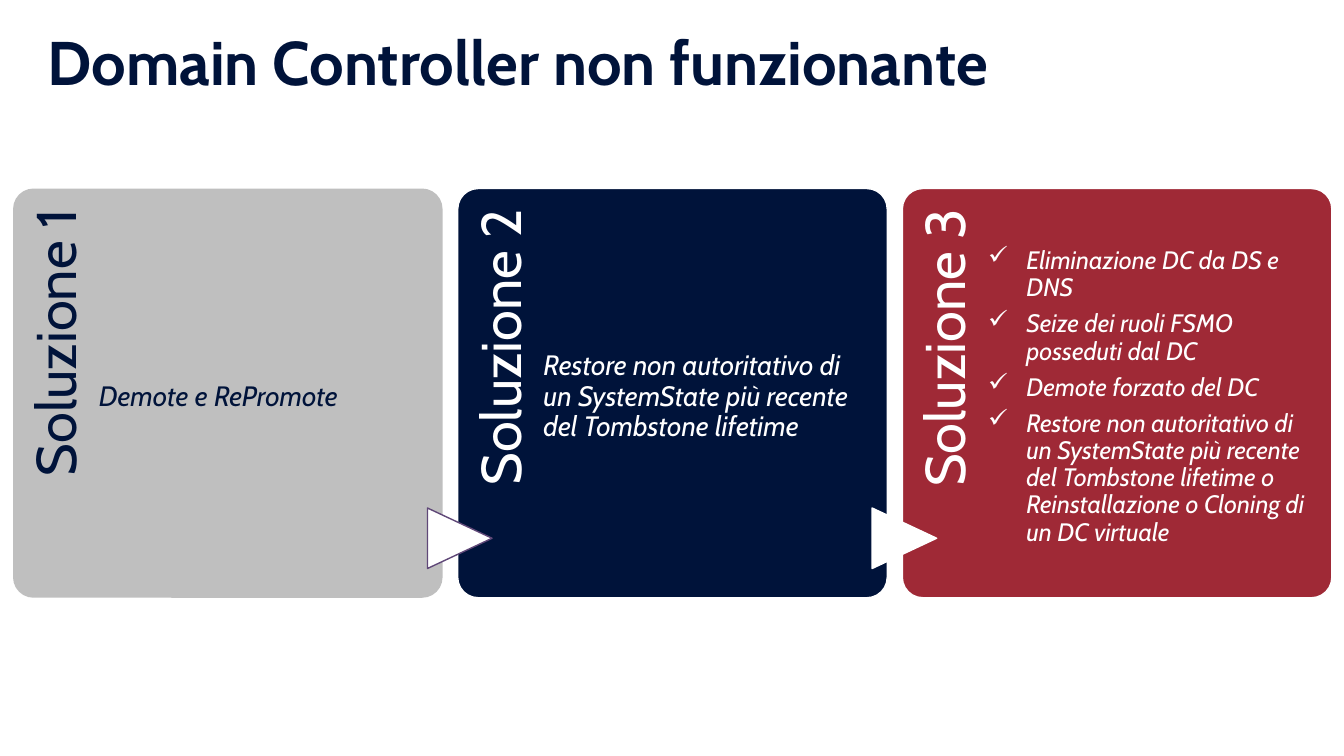
from dataclasses import dataclass

from lxml import etree
from pptx import Presentation, util as u
from pptx.dml.color import RGBColor
from pptx.enum import shapes, text
from pptx.oxml.ns import qn


@dataclass(frozen=True)
class Theme:
    font: str = "Cabin"
    navy: str = "00133A"
    grey: str = "BFBFBF"
    red: str = "9F2936"
    white: str = "FFFFFF"
    plum: str = "604878"
    title: int = 44
    label: int = 40
    body: int = 20
    list: int = 18


@dataclass(frozen=True)
class Grid:
    left: float = 0.13
    top: float = 1.87
    pitch: float = 4.41
    wide: float = 4.26
    high: float = 4.06

    def col(self, index):
        return self.left + index * self.pitch


T = Theme()
G = Grid()

CARDS = [
    ("Soluzione 1", T.grey, None, T.navy, T.body, ["Demote e RePromote"]),
    ("Soluzione 2", T.navy, T.white, T.white, T.body, [
        "Restore non autoritativo di un SystemState più recente "
        "del Tombstone lifetime"]),
    ("Soluzione 3", T.red, T.white, T.white, T.list, [
        "Eliminazione DC da DS e DNS",
        "Seize dei ruoli FSMO posseduti dal DC",
        "Demote forzato del DC",
        "Restore non autoritativo di un SystemState più recente del Tombstone "
        "lifetime o Reinstallazione o Cloning di un DC virtuale"]),
]
ARROWS = [T.plum, T.white]


def box(*sizes):
    return [u.Inches(size) for size in sizes]


def tint(color):
    return RGBColor.from_string(color)


def inset(frame, left, top, right, bottom):
    frame.margin_left, frame.margin_top, frame.margin_right, \
        frame.margin_bottom = box(left, top, right, bottom)


def style(para, size, color, align=text.PP_ALIGN.LEFT, bold=False, italic=False):
    para.alignment = align
    para.line_spacing = 0.9
    font = para.font
    font.name, font.size, font.color.rgb = T.font, u.Pt(size), tint(color)
    font.bold, font.italic = bold, italic


def check(para):
    props = para._p.get_or_add_pPr()
    props.set("marL", str(u.Inches(0.38)))
    props.set("indent", str(-u.Inches(0.38)))
    etree.SubElement(props, qn("a:buChar")).set("char", "✓")


def block(slide, kind, spot, turn, fill, line):
    shape = slide.shapes.add_shape(kind, *box(*spot))
    shape.rotation = turn
    shape.shadow.inherit = False
    shape.fill.solid()
    shape.fill.fore_color.rgb = tint(fill)
    if line:
        shape.line.color.rgb = tint(line)
        shape.line.width = u.Pt(1)
    else:
        shape.line.fill.background()
    return shape


def card(slide, index, label, fill, line, color):
    shift = (G.wide - G.high) / 2
    spot = G.col(index) + shift, G.top - shift, G.high, G.wide
    shape = block(slide, shapes.MSO_SHAPE.ROUNDED_RECTANGLE, spot, 270, fill, line)
    shape.adjustments[0] = 0.05
    frame = shape.text_frame
    frame.vertical_anchor = text.MSO_ANCHOR.TOP
    inset(frame, 0.86, 0.09, 0.14, 3.35)
    frame.text = label
    style(frame.paragraphs[0], T.label, color, text.PP_ALIGN.RIGHT)


def arrow(slide, index, line):
    spot = G.col(index) - 0.28, 5.02, 0.6, 0.64
    block(slide, shapes.MSO_SHAPE.FLOWCHART_EXTRACT, spot, 90, T.white, line)


def body(slide, index, lines, size, color):
    spot = G.col(index) + 0.85, G.top, 3.17, G.high
    frame = slide.shapes.add_textbox(*box(*spot)).text_frame
    frame.word_wrap = True
    frame.vertical_anchor = text.MSO_ANCHOR.MIDDLE
    inset(frame, 0, 0.08, 0, 0)
    frame.text = "\n".join(lines)
    for para in frame.paragraphs:
        if len(lines) > 1:
            para.space_after = u.Pt(0.35 * size)
            check(para)
        style(para, size, color, italic=True)


def head(slide, words):
    title = slide.shapes.title
    title.left, title.top, title.width, title.height = box(0.37, 0.2, 12.6, 0.91)
    frame = title.text_frame
    frame.text = words
    frame.auto_size = text.MSO_AUTO_SIZE.NONE
    frame.vertical_anchor = text.MSO_ANCHOR.MIDDLE
    style(frame.paragraphs[0], T.title, T.navy, bold=True)


def main():
    deck = Presentation()
    deck.slide_width, deck.slide_height = box(13.33, 7.5)
    slide = deck.slides.add_slide(deck.slide_layouts[5])
    head(slide, "Domain Controller non funzionante")
    for index, (label, fill, line, color, size, lines) in enumerate(CARDS):
        card(slide, index, label, fill, line, color)
        if index:
            arrow(slide, index, ARROWS[index - 1])
        body(slide, index, lines, size, color)
    deck.save("out.pptx")


if __name__ == "__main__":
    main()
